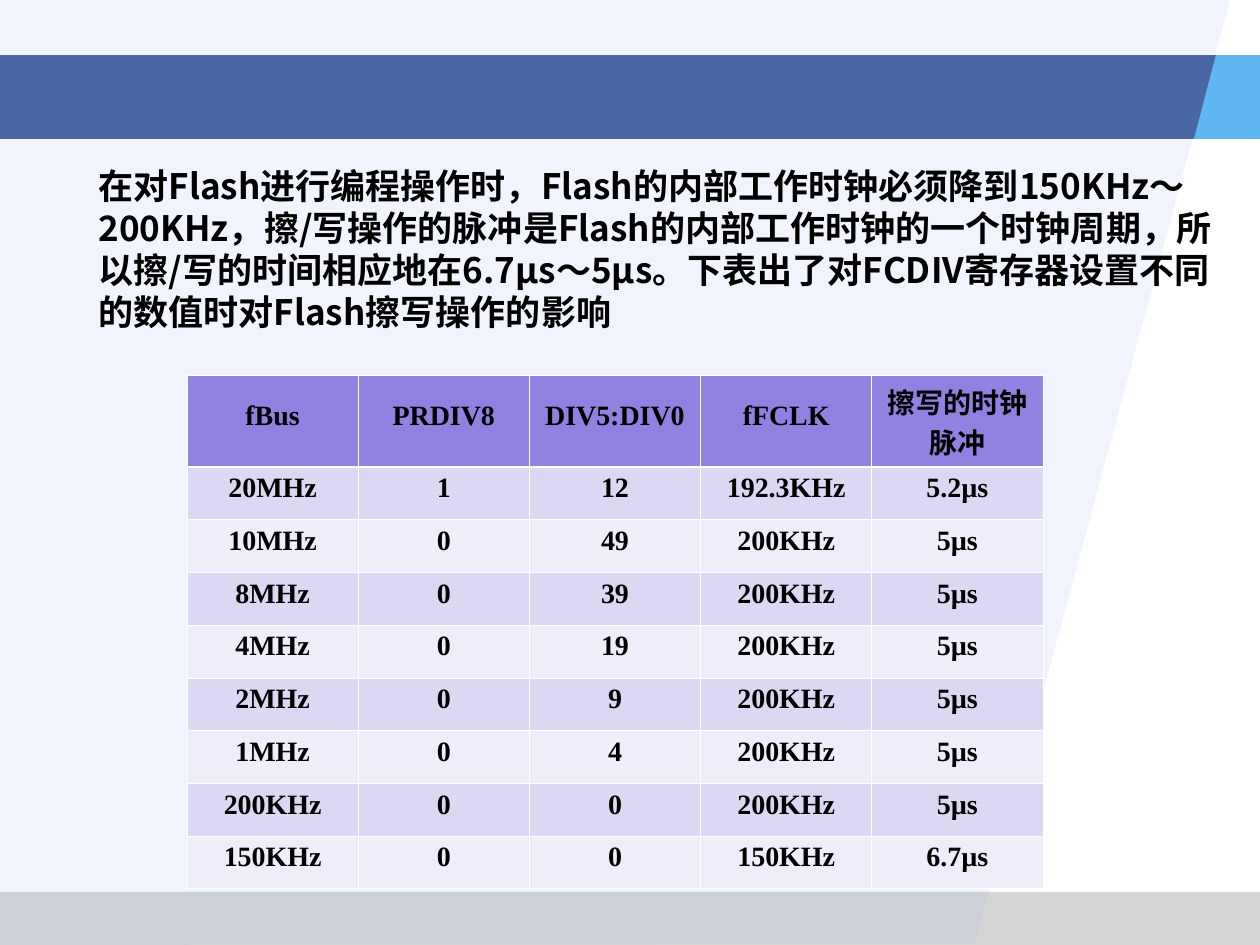
import pptx
import pptx.dml.color
import pptx.enum.shapes
import pptx.enum.text
import pptx.oxml
import pptx.oxml.ns
import pptx.util

EMU_PER_PX = 914400 / 126
CJK, LATIN = "Noto Sans CJK SC", "Times New Roman"
WHITE, BLACK = "FFFFFF", "000000"
HEADER, BAND_DARK, BAND_LIGHT = "9181E1", "DCD8F4", "EEEDF9"

INTRO = (
    "在对Flash进行编程操作时，Flash的内部工作时钟必须降到150KHz～200KHz，"
    "擦/写操作的脉冲是Flash的内部工作时钟的一个时钟周期，"
    "所以擦/写的时间相应地在6.7µs～5µs。"
    "下表出了对FCDIV寄存器设置不同的数值时对Flash擦写操作的影响"
)
CLOCK_ROWS = [
    ["fBus", "PRDIV8", "DIV5:DIV0", "fFCLK", "擦写的时钟脉冲"],
    ["20MHz", "1", "12", "192.3KHz", "5.2µs"],
    ["10MHz", "0", "49", "200KHz", "5µs"],
    ["8MHz", "0", "39", "200KHz", "5µs"],
    ["4MHz", "0", "19", "200KHz", "5µs"],
    ["2MHz", "0", "9", "200KHz", "5µs"],
    ["1MHz", "0", "4", "200KHz", "5µs"],
    ["200KHz", "0", "0", "200KHz", "5µs"],
    ["150KHz", "0", "0", "150KHz", "6.7µs"],
]


def px(n):
    return pptx.util.Emu(round(n * EMU_PER_PX))


def rgb(color):
    return pptx.dml.color.RGBColor.from_string(color)


def element(tag, **attrs):
    el = pptx.oxml.parse_xml(f"<a:{tag} {pptx.oxml.ns.nsdecls('a')}/>")
    for name, value in attrs.items():
        el.set(name, str(value))
    return el


class Deck:
    def __init__(self, width, height):
        self.prs = pptx.Presentation()
        self.prs.slide_width, self.prs.slide_height = px(width), px(height)
        self.s = self.prs.slides.add_slide(self.prs.slide_layouts[6])

    def paint(self, sp, color, opacity):
        sp.shadow.inherit = False
        sp.line.fill.background()
        sp.fill.solid()
        sp.fill.fore_color.rgb = rgb(color)
        if opacity < 100:
            clr = sp.fill._xPr.find(".//" + pptx.oxml.ns.qn("a:srgbClr"))
            clr.append(element("alpha", val=opacity * 1000))

    def rect(self, x, y, w, h, color, opacity=100):
        kind = pptx.enum.shapes.MSO_SHAPE.RECTANGLE
        sp = self.s.shapes.add_shape(kind, px(x), px(y), px(w), px(h))
        self.paint(sp, color, opacity)

    def polygon(self, points, color, opacity=100):
        builder = self.s.shapes.build_freeform(*points[0], scale=EMU_PER_PX)
        builder.add_line_segments(points[1:], close=True)
        self.paint(builder.convert_to_shape(), color, opacity)

    def style(self, p, size, font):
        p.font.size, p.font.bold = pptx.util.Pt(size), True
        p.font.name, p.font.color.rgb = font, rgb(BLACK)
        p.font._rPr.append(element("ea", typeface=font))

    def text(self, x, y, w, h, words, size, indent, leading):
        tf = self.s.shapes.add_textbox(px(x), px(y), px(w), px(h)).text_frame
        tf.word_wrap = True
        p = tf.paragraphs[0]
        p.text = words
        p.space_before = pptx.util.Pt(5)
        p.line_spacing = pptx.util.Pt(leading)
        p._p.get_or_add_pPr().set("marL", str(px(indent)))
        self.style(p, size, CJK)

    def borders(self, cell, **widths):
        for i, (side, width) in enumerate(widths.items()):
            ln = element("ln" + side, w=pptx.util.Pt(width))
            fill = element("solidFill")
            fill.append(element("srgbClr", val=WHITE))
            ln.append(fill)
            cell._tc.get_or_add_tcPr().insert(i, ln)

    def cell(self, cell, words, color, top, bottom):
        cell.fill.solid()
        cell.fill.fore_color.rgb = rgb(color)
        self.borders(cell, L=0.45, R=0.45, T=top, B=bottom)
        cell.vertical_anchor = pptx.enum.text.MSO_ANCHOR.MIDDLE
        cell.margin_left = cell.margin_right = px(10)
        cell.margin_top = cell.margin_bottom = px(6)
        p = cell.text_frame.paragraphs[0]
        p.text = words
        p.alignment = pptx.enum.text.PP_ALIGN.CENTER
        if words.isascii() or words.endswith("µs"):
            p.line_spacing = pptx.util.Pt(12)
            self.style(p, 16, LATIN)
        else:
            self.style(p, 16, CJK)

    def table(self, x, y, w, header_h, body_h, rows):
        n_rows, n_cols = len(rows), len(rows[0])
        table = self.s.shapes.add_table(
            n_rows, n_cols, px(x), px(y), px(w), px(header_h + body_h)).table
        table.horz_banding = False
        for column in table.columns:
            column.width = px(w / n_cols)
        for i, row in enumerate(rows):
            table.rows[i].height = px(body_h / (n_rows - 1) if i else header_h)
            color = (BAND_DARK if i % 2 else BAND_LIGHT) if i else HEADER
            top, bottom = 1.47 if i == 1 else 0.45, 0.45 if i else 1.47
            for j, words in enumerate(row):
                self.cell(table.cell(i, j), words, color, top, bottom)


def main():
    deck = Deck(1260, 945)

    # Background: footer bar, slanted panel, title band and its end piece
    deck.rect(0, 892, 1260, 53, "969696", 40)
    deck.polygon([(0, 0), (1230, 0), (975, 944), (0, 945)], "94B1EC", 13)
    deck.rect(0, 55, 1260, 84, "173D89", 77)
    deck.polygon([(1216, 55), (1194, 139), (1260, 139), (1260, 55)], "5FB6F1")

    # Introduction
    deck.text(39, 158, 1191, 723, INTRO, size=20, indent=47, leading=24)

    # Clock settings
    deck.table(187, 375, 856, 92, 422, CLOCK_ROWS)

    deck.prs.save("out.pptx")


if __name__ == "__main__":
    main()
